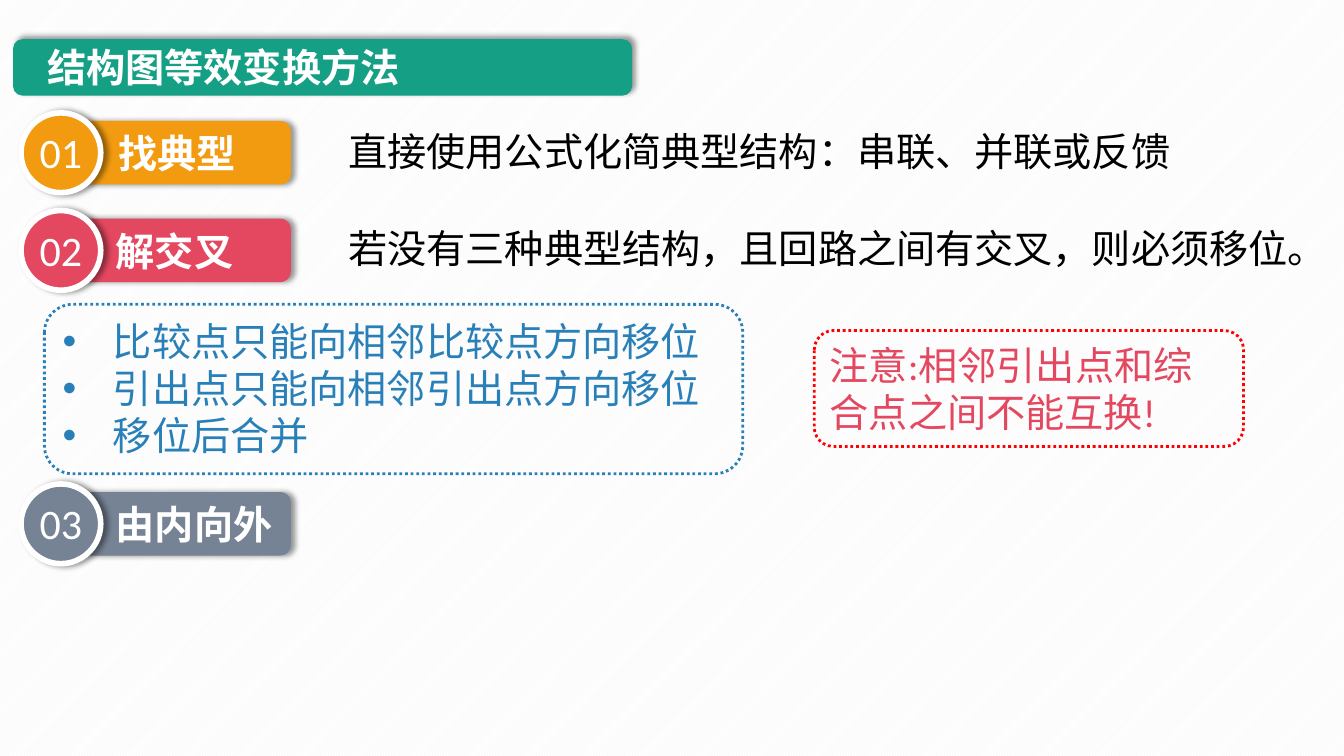
from lxml.etree import SubElement
from pptx import Presentation
from pptx.dml.color import RGBColor
from pptx.enum.dml import MSO_LINE, MSO_PATTERN
from pptx.enum.shapes import MSO_SHAPE
from pptx.enum.text import MSO_ANCHOR, PP_ALIGN
from pptx.oxml.ns import qn
from pptx.util import Cm, Pt

WHITE = RGBColor(0xFF, 0xFF, 0xFF)
BLACK = RGBColor(0, 0, 0)
PALE = RGBColor(0xF2, 0xF2, 0xF2)
GREEN = RGBColor(0x15, 0x9F, 0x84)
ORANGE = RGBColor(0xF2, 0x9B, 0x11)
ROSE = RGBColor(0xE4, 0x48, 0x60)
GREY = RGBColor(0x76, 0x83, 0x95)
BLUE = RGBColor(0x29, 0x80, 0xB9)
RED = RGBColor(0xFF, 0, 0)
LATIN, HAN = "Calibri", "Noto Sans CJK SC"

# Content
TITLE = "结构图等效变换方法"
# number, label, colour, left and top of the badge (cm)
STEPS = [
    ("01", "找典型", ORANGE, 1.9, 3.05),
    ("02", "解交叉", ROSE, 1.83, 5.51),
    ("03", "由内向外", GREY, 1.83, 12.4),
]
# text, top, width (cm)
NOTES = [
    ("直接使用公式化简典型结构：串联、并联或反馈", 3.07, 22.05),
    ("若没有三种典型结构，且回路之间有交叉，则必须移位。", 5.51, 25),
]
RULES = [
    "比较点只能向相邻比较点方向移位",
    "引出点只能向相邻引出点方向移位",
    "移位后合并",
]
WARNING = ["注意:相邻引出点和综合点之间不能互换!"]

# Badge layout (cm)
RIGHT, TALL = 7.33, 1.6
DISC, DISC_X = 2.01, 0.53


def write(shape, lines, color, size=28, face=LATIN, bold=False, wrap=True,
          anchor=MSO_ANCHOR.TOP, align=PP_ALIGN.LEFT, margin=0, hang=0):
    frame = shape.text_frame
    frame.word_wrap = wrap
    frame.vertical_anchor = anchor
    for i, line in enumerate(lines):
        para = frame.paragraphs[0] if i == 0 else frame.add_paragraph()
        para.alignment = align
        props = para._p.get_or_add_pPr()
        props.set("marL", str(Cm(margin)))
        props.set("indent", str(Cm(-hang)))
        if hang:
            SubElement(props, qn("a:buFont"), typeface="Arial")
            SubElement(props, qn("a:buChar"), char="•")
        run = para.add_run()
        run.text = line
        font = run.font
        font.size, font.bold, font.name = Pt(size), bold, face
        font.color.rgb = color
        SubElement(font._element, qn("a:ea"), typeface=face)


def draw(shapes, kind, box, fill=None, line=None, width=2, dots=False,
         shade=None):
    shape = shapes.add_shape(kind, *map(Cm, box))
    shape.shadow.inherit = False
    if fill is None:
        shape.fill.background()
    else:
        shape.fill.solid()
        shape.fill.fore_color.rgb = fill
    if line is None:
        shape.line.fill.background()
    else:
        shape.line.color.rgb = line
        shape.line.width = Pt(width)
    if dots:
        shape.line.dash_style = MSO_LINE.ROUND_DOT
    if shade is not None:
        effects = shape._element.spPr.find(qn("a:effectLst"))
        outer = SubElement(effects, qn("a:outerShdw"), blurRad=str(Pt(4)),
                           dist=str(Pt(3)), dir=str(shade * 60000),
                           algn="l", rotWithShape="0")
        color = SubElement(outer, qn("a:srgbClr"), val="000000")
        SubElement(color, qn("a:alpha"), val="40000")
    return shape


def label(shapes, box, text, color, bold=False):
    area = shapes.add_textbox(*map(Cm, box))
    write(area, [text], color, face=HAN, bold=bold, anchor=MSO_ANCHOR.MIDDLE)


deck = Presentation()
deck.slide_width, deck.slide_height = Cm(33.87), Cm(19.05)
slide = deck.slides.add_slide(deck.slide_layouts[6])
shapes = slide.shapes

# Background
back = slide.background.fill
back.patterned()
back.pattern = MSO_PATTERN.LIGHT_UPWARD_DIAGONAL
back.fore_color.rgb = PALE
back.back_color.rgb = WHITE

# Title
draw(shapes, MSO_SHAPE.ROUNDED_RECTANGLE, (0.33, 0.99, 15.6, 1.42), GREEN,
     shade=315)
label(shapes, (0.94, 0.97, 12.65, 1.45), TITLE, WHITE, bold=True)

# Numbered badges
for number, name, color, left, top in STEPS:
    group = shapes.add_group_shape().shapes
    bar = draw(group, MSO_SHAPE.ROUNDED_RECTANGLE,
               (left, top, RIGHT - left, TALL), color, shade=0)
    write(bar, [name], WHITE, bold=True, anchor=MSO_ANCHOR.MIDDLE,
          margin=0.76)
    disc = draw(group, MSO_SHAPE.OVAL,
                (DISC_X, top + (TALL - DISC) / 2, DISC, DISC), color,
                line=WHITE, width=4, shade=0)
    disc.text_frame.margin_bottom = Cm(0.1)
    write(disc, [number], WHITE, size=30, wrap=False,
          anchor=MSO_ANCHOR.BOTTOM, align=PP_ALIGN.CENTER)

# Notes beside the badges
for text, top, width in NOTES:
    label(shapes, (8.53, top, width, 1.45), text, BLACK)

# Dotted boxes
FRAME = MSO_SHAPE.FLOWCHART_ALTERNATE_PROCESS
rules = draw(shapes, FRAME, (1.12, 7.67, 17.6, 4.27), line=BLUE, dots=True)
write(rules, RULES, BLUE, margin=1.27, hang=1.27)
warning = draw(shapes, FRAME, (20.52, 8.33, 10.82, 2.92), line=RED, dots=True)
write(warning, WARNING, ROSE)

deck.save("out.pptx")
